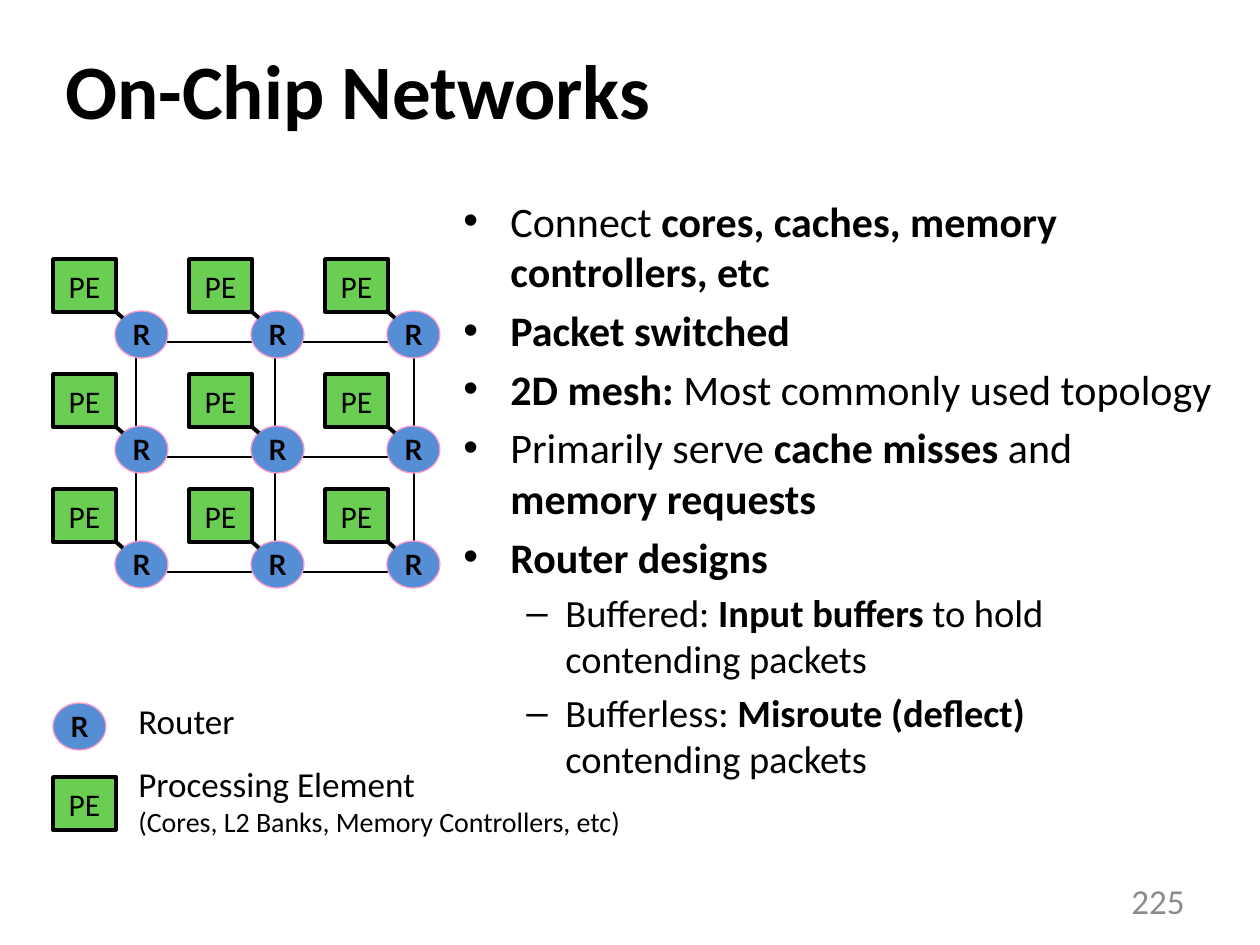
import itertools
from dataclasses import dataclass
from typing import Any

import pptx
import pptx.dml.color
import pptx.enum.shapes
import pptx.enum.text
import pptx.oxml.ns
import pptx.util
from lxml import etree

PX = 914400 / 126
BLACK = "000000"
Align = pptx.enum.text.PP_ALIGN
Anchor = pptx.enum.text.MSO_ANCHOR
Shape = pptx.enum.shapes.MSO_SHAPE


@dataclass(frozen=True)
class Kind:
    label: str
    form: Any
    width: int
    height: int
    fill: str
    edge: str
    stroke: float
    font: str
    size: int
    bold: bool = False


@dataclass(frozen=True)
class Point:
    """A bullet; text between asterisks is bold."""
    text: str
    level: int = 0


@dataclass(frozen=True)
class Level:
    mark: str
    size: int
    left: int
    hang: int


ROUTER = Kind("R", Shape.OVAL, 53, 47, "558ED5", "FF99CC", 0.75, "Lato", 16, True)
CORE = Kind("PE", Shape.RECTANGLE, 63, 53, "6ACE52", BLACK, 2, "Calibri", 18)
LEVELS = [Level("•", 24, 47, 47), Level("–", 22, 102, 39)]
POINTS = [
    Point("Connect *cores, caches, memory controllers, etc*"),
    Point("*Packet switched*"),
    Point("*2D mesh: *Most commonly used topology"),
    Point("Primarily serve *cache misses *and* memory requests*"),
    Point("*Router designs*"),
    Point("Buffered: *Input buffers* to hold contending packets", 1),
    Point("Bufferless: *Misroute (deflect)*\ncontending packets", 1),
]


def px(n: float) -> int:
    return round(n * PX)


def rgb(code: str) -> pptx.dml.color.RGBColor:
    return pptx.dml.color.RGBColor.from_string(code)


def child(node: Any, tag: str, **attrs: Any) -> Any:
    values = {key: str(value) for key, value in attrs.items()}
    return etree.SubElement(node, pptx.oxml.ns.qn(tag), values)


def write(para: Any, text: str, *, size: int, font: str = "Calibri",
          color: str = BLACK, bold: bool = False, align: Any = None) -> None:
    """Fill a paragraph; asterisks switch bold, a newline breaks the line."""
    para.alignment = align
    for i, part in enumerate(text.split("*")):
        for j, line in enumerate(part.split("\n")):
            if j:
                para.add_line_break()
            if line:
                run = para.add_run()
                run.text = line
                run.font.name = font
                run.font.size = pptx.util.Pt(size)
                run.font.bold = bold or i % 2 == 1
                run.font.color.rgb = rgb(color)


def box(shapes: Any, x: int, y: int, w: int, h: int, *,
        wrap: bool = True, anchor: Any = Anchor.TOP) -> Any:
    frame = shapes.add_textbox(px(x), px(y), px(w), px(h)).text_frame
    frame.word_wrap = wrap
    frame.vertical_anchor = anchor
    return frame


def block(shapes: Any, kind: Kind, x: int, y: int) -> None:
    shape = shapes.add_shape(kind.form, px(x), px(y), px(kind.width), px(kind.height))
    shape.shadow.inherit = False
    shape.fill.solid()
    shape.fill.fore_color.rgb = rgb(kind.fill)
    shape.line.color.rgb = rgb(kind.edge)
    shape.line.width = pptx.util.Pt(kind.stroke)
    frame = shape.text_frame
    frame.margin_left = frame.margin_right = 0
    frame.margin_top = frame.margin_bottom = 0
    frame.word_wrap = False
    frame.vertical_anchor = Anchor.MIDDLE
    write(frame.paragraphs[0], kind.label, size=kind.size, font=kind.font,
          bold=kind.bold, align=Align.CENTER)


def node(slide: Any, x: int, y: int) -> None:
    """Draw a processing element linked to its router."""
    shapes = slide.shapes.add_group_shape().shapes
    block(shapes, ROUTER, x + 62, y + 52)
    block(shapes, CORE, x, y)
    link = shapes.add_connector(
        pptx.enum.shapes.MSO_CONNECTOR.STRAIGHT,
        px(x + 63), px(y + 53), px(x + 70), px(y + 59))
    link.line.color.rgb = rgb(BLACK)
    link.line.width = pptx.util.Pt(2.25)
    child(link._element.spPr, "a:effectLst")


def mesh(slide: Any) -> None:
    """Draw the links between routers as a bordered table."""
    table = slide.shapes.add_table(2, 2, px(136), px(342), px(278), px(230)).table
    table.first_row = table.horz_banding = False
    for cell in table.iter_cells():
        props = cell._tc.get_or_add_tcPr()
        for side in ("a:lnL", "a:lnR", "a:lnT", "a:lnB"):
            edge = child(props, side, w=pptx.util.Pt(1.5))
            child(child(edge, "a:solidFill"), "a:srgbClr", val=BLACK)
        cell.fill.background()
    for row, col in itertools.product(range(3), range(3)):
        node(slide, 53 + 136 * col, 259 + 115 * row)


def legend(slide: Any) -> None:
    shapes = slide.shapes.add_group_shape().shapes
    block(shapes, ROUTER, 53, 703)
    name = box(shapes, 126, 693, 122, 55, wrap=False)
    write(name.paragraphs[0], "Router", size=20)
    name = box(shapes, 126, 756, 513, 89, wrap=False)
    write(name.paragraphs[0], "Processing Element", size=20)
    write(name.add_paragraph(), "(Cores, L2 Banks, Memory Controllers, etc)", size=16)
    block(shapes, CORE, 53, 777)


def bullets(slide: Any) -> None:
    frame = box(slide.shapes, 451, 189, 787, 557)
    for i, point in enumerate(POINTS):
        para = frame.add_paragraph() if i else frame.paragraphs[0]
        level = LEVELS[point.level]
        para.level = point.level
        if i:
            para.space_before = pptx.util.Pt(level.size * 0.2)
        props = para._p.get_or_add_pPr()
        props.set("marL", str(px(level.left)))
        props.set("indent", str(px(-level.hang)))
        child(props, "a:buFont", typeface="Arial")
        child(props, "a:buChar", char=level.mark)
        write(para, point.text, size=level.size)


def main() -> None:
    deck = pptx.Presentation()
    deck.slide_width, deck.slide_height = px(1260), px(945)
    slide = deck.slides.add_slide(deck.slide_layouts[6])
    title = box(slide.shapes, 53, 10, 1134, 158, anchor=Anchor.MIDDLE)
    write(title.paragraphs[0], "On-Chip Networks", size=44, bold=True)
    number = box(slide.shapes, 903, 876, 294, 50, anchor=Anchor.MIDDLE)
    write(number.paragraphs[0], "225", size=20, color="8C8C8C", align=Align.RIGHT)
    mesh(slide)
    legend(slide)
    bullets(slide)
    deck.save("out.pptx")


if __name__ == "__main__":
    main()
